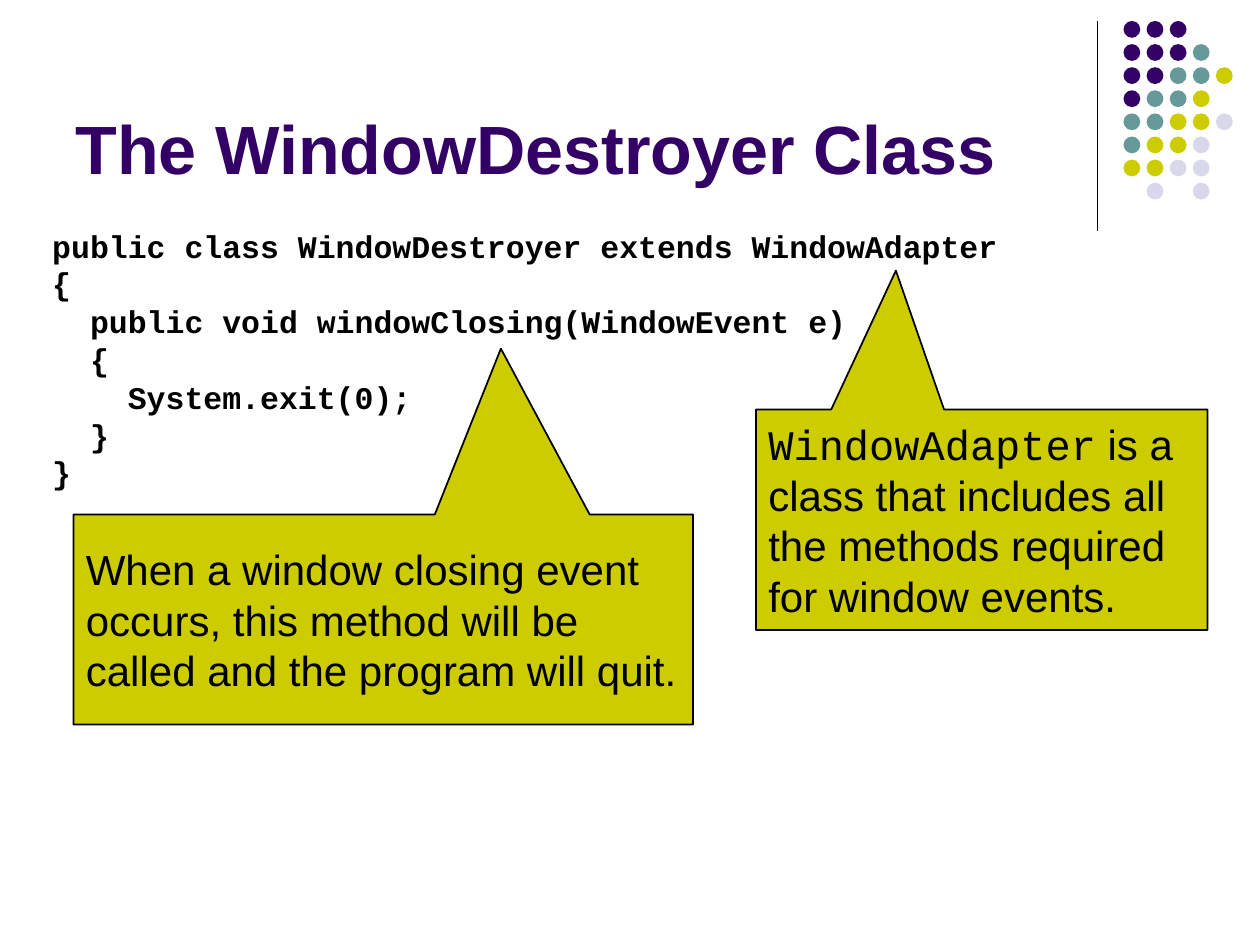
from lxml.etree import SubElement
from pptx import Presentation
from pptx.dml.color import RGBColor as Rgb
from pptx.enum.shapes import MSO_CONNECTOR as Connector, MSO_SHAPE as Shape
from pptx.enum.text import MSO_ANCHOR as Anchor, MSO_AUTO_SIZE as AutoSize, PP_ALIGN as Align
from pptx.oxml.ns import qn
from pptx.util import Inches, Pt

COLORS = {
    "black": "000000",
    "purple": "330066",
    "teal": "669999",
    "olive": "CCCC00",
    "lavender": "D8D8EC",
}
DOT_COLORS = {"P": "purple", "T": "teal", "O": "olive", "L": "lavender"}
DOT_ROWS = ["PPP", "PPPT", "PPTTO", "PTTO", "TTOOL", "TOOL", "OOLL", " L L"]

TITLE = {"name": "Arial", "size": Pt(39), "bold": True, "color": "purple"}
CODE = {"name": "Courier New", "size": Pt(18), "bold": True, "color": "black"}
NOTE = {"name": "Arial", "size": Pt(24), "bold": False, "color": "black"}
NOTE_CODE = {**NOTE, "name": "Courier New"}

CODE_LINES = [
    "public class WindowDestroyer extends WindowAdapter",
    "{",
    "  public void windowClosing(WindowEvent e)",
    "  {",
    "    System.exit(0);",
    "  }",
    "}",
]


def grid(*cells):
    """Turn columns and rows of the 120 by 90 slide grid into lengths."""
    return [Inches(cell / 12) for cell in cells]


def color(name):
    return Rgb.from_string(COLORS[name])


def add_span(para, text, style):
    span = para.add_run()
    span.text = text
    for key, value in style.items():
        if key == "color":
            span.font.color.rgb = color(value)
        else:
            setattr(span.font, key, value)


def write(frame, paragraphs, **settings):
    """Fill a frame with paragraphs, each a list of (text, style) spans."""
    for key, value in settings.items():
        setattr(frame, key, value)
    for index, spans in enumerate(paragraphs):
        para = frame.add_paragraph() if index else frame.paragraphs[0]
        para.alignment = Align.LEFT
        for text, style in spans:
            add_span(para, text, style)


def add_text(slide, place, paragraphs, **settings):
    box = slide.shapes.add_textbox(*grid(*place))
    write(box.text_frame, paragraphs, **settings)


def add_divider(slide, column, top, bottom):
    line = slide.shapes.add_connector(Connector.STRAIGHT, *grid(column, top, column, bottom))
    line.line.color.rgb = color("black")
    line.line.width = Pt(0.75)
    SubElement(line._element.spPr, qn("a:effectLst"))


def add_dots(slide, left, top, pitch, size):
    dots = slide.shapes.add_group_shape()
    for row, letters in enumerate(DOT_ROWS):
        for column, letter in enumerate(letters):
            if letter in DOT_COLORS:
                place = grid(left + column * pitch, top + row * pitch, size, size)
                dot = dots.shapes.add_shape(Shape.OVAL, *place)
                dot.shadow.inherit = False
                dot.fill.solid()
                dot.fill.fore_color.rgb = color(DOT_COLORS[letter])
                dot.line.fill.background()


def add_callout(slide, place, tip, spans):
    """Draw a callout whose tip is a share of its size away from its centre."""
    callout = slide.shapes.add_shape(Shape.RECTANGULAR_CALLOUT, *grid(*place))
    callout.adjustments[0], callout.adjustments[1] = tip
    callout.shadow.inherit = False
    callout.fill.solid()
    callout.fill.fore_color.rgb = color("olive")
    callout.line.color.rgb = color("black")
    callout.line.width = Pt(1)
    write(callout.text_frame, [spans], word_wrap=True, vertical_anchor=Anchor.MIDDLE)


def main():
    deck = Presentation()
    deck.slide_width, deck.slide_height = grid(120, 90)
    slide = deck.slides.add_slide(deck.slide_layouts[6])

    add_divider(slide, 104.5, 2, 22)
    add_dots(slide, left=107, top=2, pitch=2.2, size=1.6)
    add_text(slide, (6, 1.5, 99, 17), [[("The WindowDestroyer Class", TITLE)]],
             word_wrap=True, vertical_anchor=Anchor.BOTTOM)
    add_text(slide, (3.8, 21, 92.4, 26.4), [[(line, CODE)] for line in CODE_LINES],
             word_wrap=False, auto_size=AutoSize.SHAPE_TO_FIT_TEXT)
    add_callout(slide, (72, 39, 43, 21), (-0.19, -1.13), [
        ("WindowAdapter", NOTE_CODE),
        (" is a class that includes all the methods required for window events.", NOTE),
    ])
    add_callout(slide, (7, 49, 59, 20), (0.19, -1.29), [
        ("When a window closing event occurs, this method will be called "
         "and the program will quit.", NOTE),
    ])
    deck.save("out.pptx")


if __name__ == "__main__":
    main()
